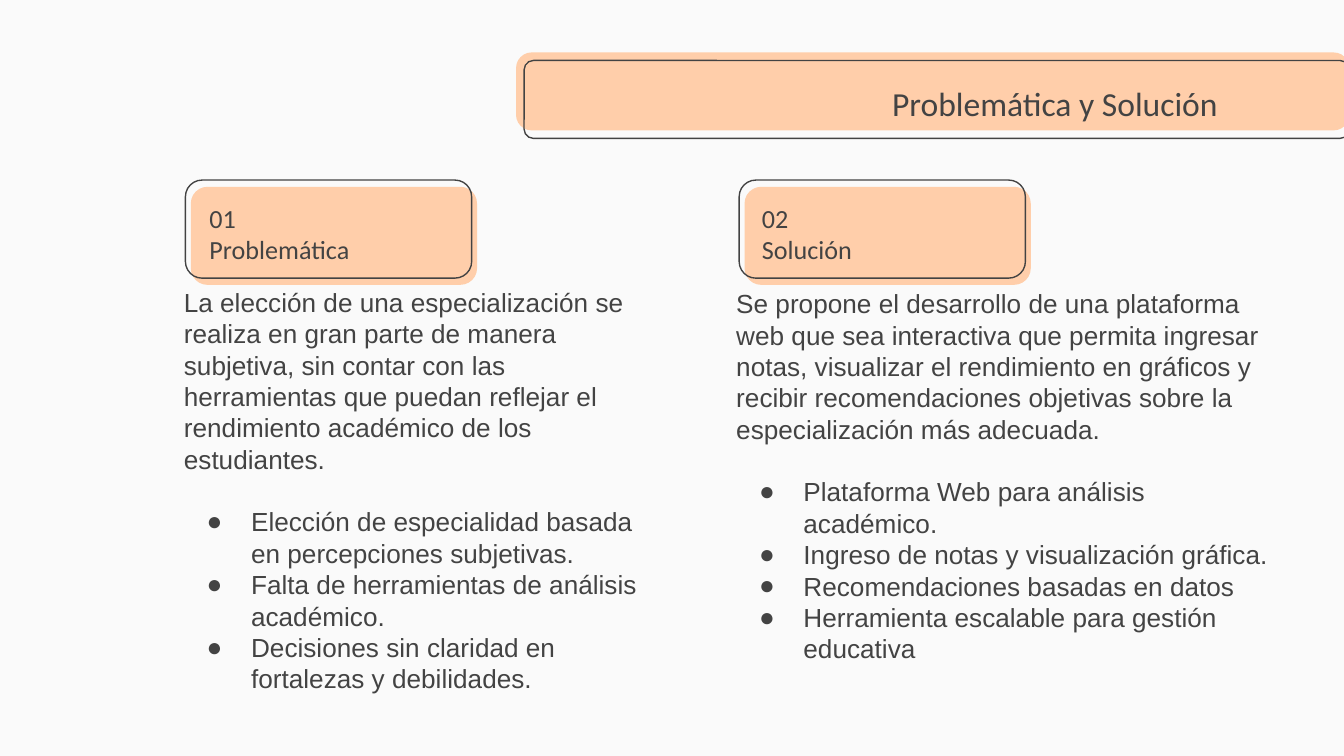
from lxml.etree import SubElement
from pptx import Presentation
from pptx.dml.color import RGBColor
from pptx.enum.shapes import MSO_SHAPE as Shape
from pptx.enum.text import MSO_ANCHOR as Anchor, PP_ALIGN as Align
from pptx.oxml.ns import qn
from pptx.util import Inches, Pt

BACKGROUND = RGBColor(0xFA, 0xFA, 0xFA)
PEACH = RGBColor(0xFF, 0xCE, 0xAA)
CHARCOAL = RGBColor(0x43, 0x43, 0x43)

HEADING_FONT = {"name": "Calibri", "size": Pt(14)}
TITLE_FONT = {"name": "Calibri", "size": Pt(18)}
BODY_FONT = {"name": "Arial", "size": Pt(14)}
BODY_PITCH = Pt(16.8)

COLUMNS = [
    (1.38, (0.08, 1.93), (-0.11, 0.69, 3.67), ["01", "Problemática"],
     "La elección de una especialización se realiza en gran parte de manera "
     "subjetiva, sin contar con las herramientas que puedan reflejar el "
     "rendimiento académico de los estudiantes.",
     ["Elección de especialidad basada en percepciones subjetivas.",
      "Falta de herramientas de análisis académico.",
      "Decisiones sin claridad en fortalezas y debilidades."]),
    (5.5, (0.07, 1), (-0.12, 0.7, 4.26), ["02", "Solución"],
     "Se propone el desarrollo de una plataforma web que sea interactiva que "
     "permita ingresar notas, visualizar el rendimiento en gráficos y recibir "
     "recomendaciones objetivas sobre la especialización más adecuada.",
     ["Plataforma Web para análisis académico.",
      "Ingreso de notas y visualización gráfica.",
      "Recomendaciones basadas en datos",
      "Herramienta escalable para gestión educativa"]),
]


def add_panel(slide, left, top, width, height, rounding, filled):
    panel = slide.shapes.add_shape(
        Shape.ROUNDED_RECTANGLE, *map(Inches, (left, top, width, height)))
    panel.adjustments[0] = rounding
    panel.shadow.inherit = False
    if filled:
        panel.fill.solid()
        panel.fill.fore_color.rgb = PEACH
        panel.line.fill.background()
    else:
        panel.fill.background()
        panel.line.color.rgb = CHARCOAL
        panel.line.width = Pt(0.75)


def add_text(slide, left, top, width, height, lines, font, anchor,
             align=Align.LEFT):
    frame = slide.shapes.add_textbox(
        *map(Inches, (left, top, width, height))).text_frame
    layout = {"word_wrap": True, "vertical_anchor": anchor}
    layout |= {f"margin_{side}": Inches(0.1)
               for side in ("left", "top", "right", "bottom")}
    for key, value in layout.items():
        setattr(frame, key, value)
    frame.text = "\n".join(lines)
    for paragraph in frame.paragraphs:
        paragraph.alignment = align
        for run in paragraph.runs:
            run.font.color.rgb = CHARCOAL
            for key, value in font.items():
                setattr(run.font, key, value)
    return frame.paragraphs


def add_bullet(paragraph):
    properties = paragraph._p.get_or_add_pPr()
    properties.set("marL", str(Inches(0.5)))
    properties.set("indent", str(Inches(-0.33)))
    color = SubElement(properties, qn("a:buClr"))
    SubElement(color, qn("a:srgbClr"), val=str(CHARCOAL))
    SubElement(properties, qn("a:buFont"), typeface=BODY_FONT["name"])
    SubElement(properties, qn("a:buChar"), char="●")


def add_header(slide, left, top, right):
    width = right - left
    add_panel(slide, left, top, width, 0.58, 0.2, True)
    add_panel(slide, left + 0.06, top + 0.06, width - 0.06, 0.58, 0.12, False)
    add_text(slide, left + 1.83, top + 0.11, 3.49, 0.53,
             ["Problemática y Solución"], TITLE_FONT, Anchor.MIDDLE,
             Align.RIGHT)


def add_column(slide, left, top, heading_box, body_box, heading, summary,
               points):
    add_panel(slide, left + 0.04, top + 0.05, 2.13, 0.73, 0.17, True)
    add_panel(slide, left, top, 2.13, 0.73, 0.17, False)
    heading_inset, heading_width = heading_box
    add_text(slide, left + heading_inset, top + 0.1, heading_width, 0.63,
             heading, HEADING_FONT, Anchor.BOTTOM)
    body_inset, body_drop, body_width = body_box
    intro, *bullets = add_text(
        slide, left + body_inset, top + body_drop, body_width, 3.06,
        [summary, *points], BODY_FONT, Anchor.TOP)
    for paragraph in (intro, *bullets):
        paragraph.line_spacing = BODY_PITCH
    intro.space_after = BODY_PITCH
    for bullet in bullets:
        add_bullet(bullet)


def main():
    deck = Presentation()
    deck.slide_width = Inches(10)
    deck.slide_height = deck.slide_width * 9 // 16
    slide = deck.slides.add_slide(deck.slide_layouts[6])
    slide.background.fill.solid()
    slide.background.fill.fore_color.rgb = BACKGROUND
    add_header(slide, 3.84, 0.39, 10.04)
    for left, *parts in COLUMNS:
        add_column(slide, left, 1.34, *parts)
    deck.save("out.pptx")


if __name__ == "__main__":
    main()
